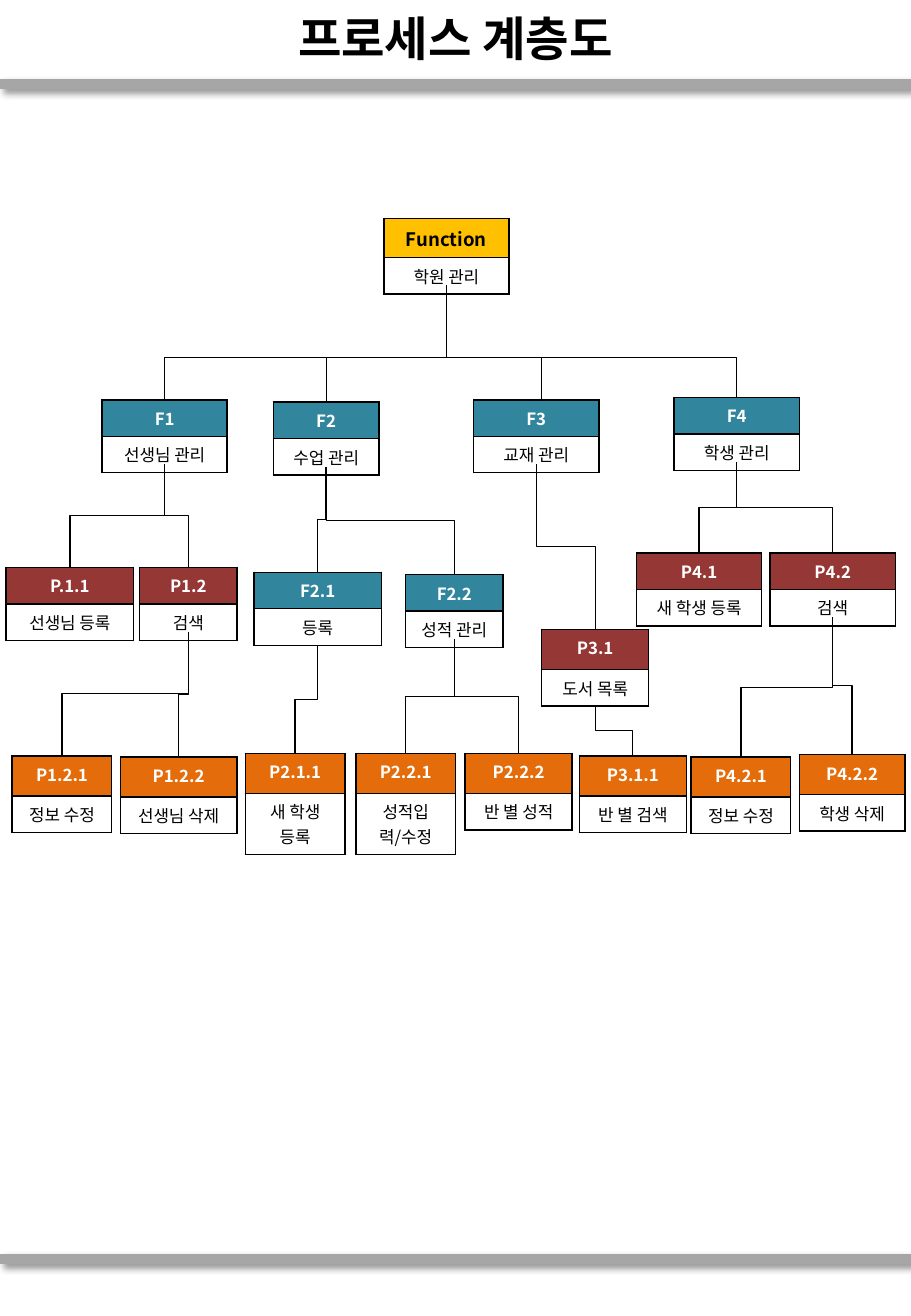
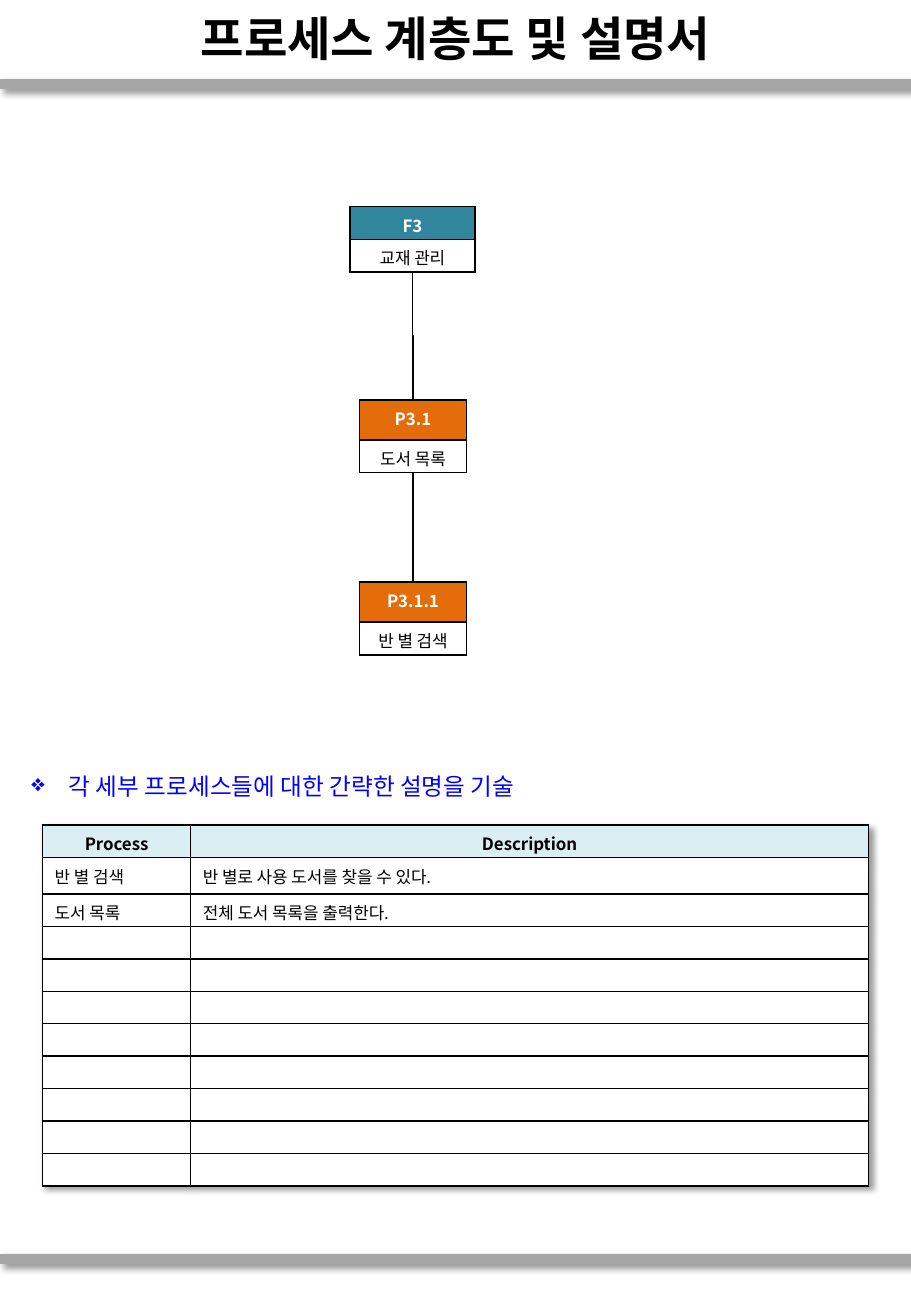
from dataclasses import dataclass
from lxml import etree
from pptx import Presentation
from pptx.dml.color import RGBColor
from pptx.enum.shapes import MSO_CONNECTOR as Link
from pptx.enum.text import MSO_ANCHOR as Anchor, PP_ALIGN as Align
from pptx.oxml.ns import qn
from pptx.util import Inches, Pt

FONT = "Noto Sans CJK KR"
BLACK, WHITE, GRAY, BLUE = "000000", "FFFFFF", "A6A6A6", "0000FF"
YELLOW, TEAL, MAROON, ORANGE, PALE = "FFC000", "31859C", "953735", "E46C0A", "DBEEF4"
PAGE_WIDTH, PAGE_HEIGHT = 7.5, 10.83


@dataclass
class Node:
    code: str
    label: str
    fill: str
    left: float
    top: float
    width: float
    parent: str = ""
    head: float = 0.3
    body: float = 0.3
    outlet: float = 0.53
    inlet_shift: float = 0
    bar: float = 0

    @property
    def center(self):
        return self.left + self.width / 2


def color(value):
    return RGBColor.from_string(value)


def child(parent, tag, **attributes):
    return etree.SubElement(parent, qn(tag), attributes)


def write(para, text, size, ink=BLACK, bold=False, align=Align.LEFT):
    para.alignment = align
    span = para.add_run()
    span.text = text
    font = span.font
    font.size, font.bold, font.name = Pt(size), bold, FONT
    font.color.rgb = color(ink)
    child(font._element, "a:ea", typeface=FONT)


def add_shadow(effects):
    shadow = child(effects, "a:outerShdw", blurRad=str(Pt(4)), dist=str(Pt(3)),
                   dir="2700000", algn="tl", rotWithShape="0")
    child(child(shadow, "a:srgbClr", val=BLACK), "a:alpha", val="40000")


def style_line(line, ink, weight):
    line.line.color.rgb = color(ink)
    line.line.width = Pt(weight)
    return child(line._element.spPr, "a:effectLst")


def add_text_box(page, left, top, width, height):
    box = page.shapes.add_textbox(*map(Inches, (left, top, width, height)))
    box.text_frame.word_wrap = True
    return box.text_frame


def add_frame(deck, title):
    page = deck.slides.add_slide(deck.slide_layouts[6])
    for y in (0.69, 10.36):
        rule = page.shapes.add_connector(
            Link.STRAIGHT, 0, Inches(y), Inches(PAGE_WIDTH), Inches(y))
        add_shadow(style_line(rule, GRAY, 6))
    frame = add_text_box(page, 0, 0.01, PAGE_WIDTH, 0.6)
    frame.vertical_anchor = Anchor.MIDDLE
    write(frame.paragraphs[0], title, 28, bold=True, align=Align.CENTER)
    return page


def add_grid(page, left, top, widths, heights):
    holder = page.shapes.add_table(
        len(heights), len(widths),
        *map(Inches, (left, top, sum(widths), sum(heights))))
    table = holder.table
    table.first_row = table.horz_banding = False
    for column, width in zip(table.columns, widths):
        column.width = Inches(width)
    for row, height in zip(table.rows, heights):
        row.height = Inches(height)
    return table


def fill_cell(cell, text, fill=WHITE, ink=BLACK, size=10, bold=False, align=Align.LEFT):
    cell.margin_left = cell.margin_right = Inches(0.1)
    cell.margin_top, cell.margin_bottom = Inches(0.05), Inches(0.02)
    para = cell.text_frame.paragraphs[0]
    if text:
        write(para, text, size, ink, bold, align)
    else:
        para._p.get_or_add_endParaRPr().set("sz", str(size * 100))
    properties = cell._tc.get_or_add_tcPr()
    for side in ("a:lnL", "a:lnR", "a:lnT", "a:lnB"):
        border = child(properties, side, w=str(Pt(1)))
        child(child(border, "a:solidFill"), "a:srgbClr", val=BLACK)
    cell.fill.solid()
    cell.fill.fore_color.rgb = color(fill)


def add_node(page, node):
    table = add_grid(page, node.left, node.top, [node.width], [node.head, node.body])
    is_root = node.fill == YELLOW
    fill_cell(table.cell(0, 0), node.code, node.fill, BLACK if is_root else WHITE,
              11 if is_root else 10, True, Align.CENTER)
    fill_cell(table.cell(1, 0), node.label, align=Align.CENTER)


def add_branch(page, parent, node):
    x, y = node.center + node.inlet_shift, node.top
    start_y = parent.top + parent.outlet
    run, rise = abs(x - parent.center), y - start_y
    left = (x + parent.center - rise) / 2
    top = (y + start_y - run) / 2
    branch = page.shapes.add_connector(
        Link.ELBOW, *map(Inches, (left, top, left + rise, top + run)))
    style_line(branch, BLACK, 0.75)
    transform = branch._element.spPr.find(qn("a:xfrm"))
    transform.set("flipV", "1")
    if x < parent.center:
        transform.set("rot", "5400000")
        transform.set("flipH", "1")
    else:
        transform.set("rot", "16200000")
    share = (y - node.bar) / rise if node.bar else 0.5
    guides = branch._element.spPr.find(qn("a:prstGeom")).get_or_add_avLst()
    child(guides, "a:gd", name="adj1", fmla=f"val {round(share * 100000)}")


def add_tree(page, nodes):
    by_code = {node.code: node for node in nodes}
    for node in nodes:
        add_node(page, node)
    for node in nodes:
        if node.parent:
            add_branch(page, by_code[node.parent], node)


def add_note(page, left, top, width, height, text):
    para = add_text_box(page, left, top, width, height).paragraphs[0]
    properties = para._p.get_or_add_pPr()
    properties.set("marL", str(Inches(0.31)))
    properties.set("indent", str(-Inches(0.31)))
    child(properties, "a:buChar", char="❖")
    write(para, text, 14, BLUE)


def add_descriptions(page, left, top, rows, row_count):
    height, tall = 2.97, 0.3
    plain = (height - tall) / (row_count - 1)
    heights = [tall if index == 1 else plain for index in range(row_count)]
    table = add_grid(page, left, top, [1.22, 5.58], heights)
    effects = etree.Element(qn("a:effectLst"))
    add_shadow(effects)
    table._tbl.tblPr.insert(0, effects)
    for column, text in enumerate(("Process", "Description")):
        fill_cell(table.cell(0, column), text, PALE, bold=True, align=Align.CENTER)
    blanks = [("", "")] * (row_count - 1 - len(rows))
    for index, texts in enumerate(rows + blanks, 1):
        for column, text in enumerate(texts):
            fill_cell(table.cell(index, column), text)


def leaf(code, label, left, top, width, parent, **extra):
    return Node(code, label, ORANGE, left, top, width, parent, head=0.33, **extra)


def add_hierarchy_page(deck):
    page = add_frame(deck, "프로세스 계층도")
    root, bar = "Function", 2.94
    add_tree(page, [
        Node(root, "학원 관리", YELLOW, 3.16, 1.8, 1.03, head=0.32, outlet=0.55),
        Node("F1", "선생님 관리", TEAL, 0.84, 3.29, 1.03, root, bar=bar),
        Node("F2", "수업 관리", TEAL, 2.25, 3.31, 0.87, root, bar=bar),
        Node("F3", "교재 관리", TEAL, 3.9, 3.29, 1.03, root, bar=bar, inlet_shift=0.04),
        Node("F4", "학생 관리", TEAL, 5.55, 3.27, 1.03, root, bar=bar),
        Node("P.1.1", "선생님 등록", MAROON, 0.05, 4.67, 1.05, "F1"),
        Node("P1.2", "검색", MAROON, 1.15, 4.67, 0.8, "F1"),
        Node("F2.1", "등록", TEAL, 2.09, 4.71, 1.05, "F2", outlet=0.6),
        Node("F2.2", "성적 관리", TEAL, 3.34, 4.73, 0.8, "F2"),
        Node("P3.1", "도서 목록", MAROON, 4.46, 5.18, 0.88, "F3", head=0.33, outlet=0.63),
        Node("P4.1", "새 학생 등록", MAROON, 5.24, 4.55, 1.03, "F4"),
        Node("P4.2", "검색", MAROON, 6.34, 4.55, 1.03, "F4"),
        leaf("P1.2.1", "정보 수정", 0.1, 6.22, 0.82, "P1.2"),
        leaf("P1.2.2", "선생님 삭제", 0.99, 6.23, 0.96, "P1.2"),
        leaf("P2.1.1", "새 학생 등록", 2.02, 6.2, 0.82, "F2.1", body=0.5),
        leaf("P2.2.1", "성적입력/수정", 2.93, 6.2, 0.82, "F2.2", body=0.5),
        leaf("P2.2.2", "반 별 성적", 3.83, 6.2, 0.88, "F2.2"),
        leaf("P3.1.1", "반 별 검색", 4.77, 6.22, 0.88, "P3.1"),
        leaf("P4.2.1", "정보 수정", 5.69, 6.23, 0.82, "P4.2"),
        leaf("P4.2.2", "학생 삭제", 6.58, 6.21, 0.87, "P4.2"),
    ])


def add_description_page(deck):
    page = add_frame(deck, "프로세스 계층도 및 설명서")
    add_tree(page, [
        Node("F3", "교재 관리", TEAL, 2.88, 1.7, 1.03, head=0.27, body=0.27),
        leaf("P3.1", "도서 목록", 2.96, 3.29, 0.88, "F3", body=0.27, outlet=0.6),
        leaf("P3.1.1", "반 별 검색", 2.96, 4.79, 0.88, "P3.1", body=0.27),
    ])
    add_note(page, 0.16, 6.3, 6.14, 0.34, "각 세부 프로세스들에 대한 간략한 설명을 기술")
    add_descriptions(page, 0.35, 6.79, [
        ("반 별 검색", "반 별로 사용 도서를 찾을 수 있다."),
        ("도서 목록", "전체 도서 목록을 출력한다."),
    ], 11)


deck = Presentation()
deck.slide_width, deck.slide_height = Inches(PAGE_WIDTH), Inches(PAGE_HEIGHT)
add_hierarchy_page(deck)
add_description_page(deck)
deck.save("out.pptx")
